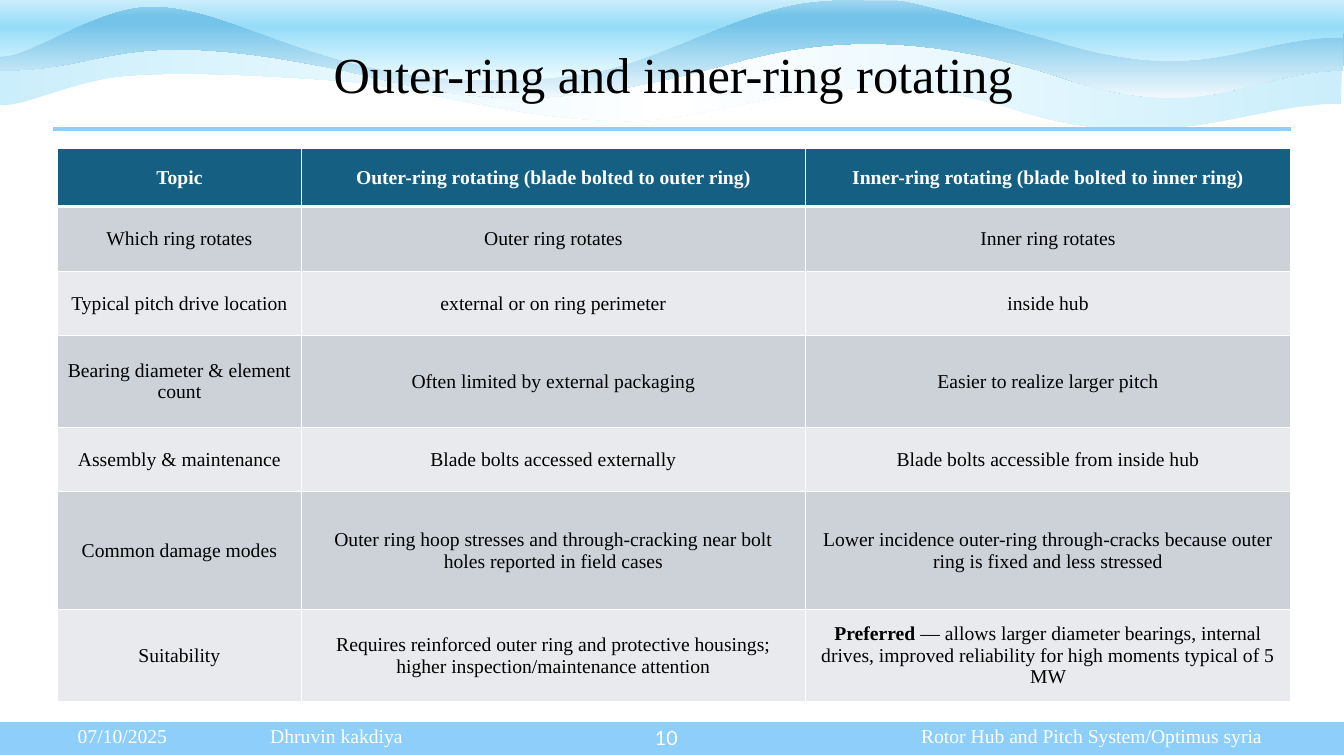
from pptx import Presentation
from pptx.dml.color import RGBColor
from pptx.enum.shapes import MSO_CONNECTOR as CONNECTOR, MSO_SHAPE as SHAPE
from pptx.enum.text import MSO_ANCHOR as ANCHOR, PP_ALIGN as ALIGN
from pptx.oxml import parse_xml
from pptx.oxml.ns import nsdecls, qn
from pptx.util import Inches, Pt
from lxml.etree import SubElement

COLORS = {"sky": "8ECEFA", "white": "FFFFFF", "black": "000000",
          "header": "156082", "band_dark": "CCD2D8", "band_light": "E8EAED"}
SERIF = "Times New Roman"

# Each wave: start point, Bezier curves along the lower edge, top corners,
# gradient stops (percent, colour) and gradient angle
WAVES = [
    ((13.3, 1.03),
     [(12.37, 1.02, 11.52, 1.59, 9.99, 1.06), (8.27, 0.54, 7.21, 1.24, 6.1, 1.2),
      (4.99, 1.16, 4.21, 0.87, 3.35, 0.8), (2.49, 0.74, 1.83, 0.71, 1.27, 0.75),
      (0.71, 0.79, 0.14, 1.11, -0.02, 1.03)],
     [(-0.04, 0.3), (13.32, 0.34)],
     [(0, "CAEEFB"), (50, "FFFFFF"), (100, "CAEEFB")], 0),
    ((13.32, 0.7),
     [(12.39, 0.7, 11.96, 1.28, 10.44, 0.74), (8.71, 0.2, 7.73, 0.5, 7.06, 0.68),
      (5.28, 1.14, 4.59, 0.98, 3.46, 0.71), (1.13, 0.22, 1.15, 0.7, 0, 0.7)],
     [(0.01, 0), (6.54, -0.01), (13.33, 0.04)],
     [(0, "A2D8F0"), (17, "74C4E9"), (26, "74C4E9"), (100, "F0F8FD")], 90),
    ((13.32, 0.37),
     [(12.39, 0.36, 11.96, 0.88, 10.44, 0.4), (8.72, -0.08, 8.91, -0.05, 8.13, 0.01),
      (7.35, 0.06, 6.53, 0.64, 5.76, 0.74), (4.98, 0.84, 4.24, 0.81, 3.47, 0.62),
      (2.58, 0.38, 2.07, 0.06, 1.5, 0.06), (0.92, 0.06, 0.22, 0.63, -0.03, 0.55)],
     [(0.01, -0.25), (6.54, -0.26), (13.33, -0.22)],
     [(0, "FFFFFF"), (50, "96DCF8"), (100, "EFFCFF")], 90),
]

COLUMN_WIDTHS = [2.42, 5, 4.81]
ROW_HEIGHTS = [0.58, 0.64, 0.64, 0.91, 0.64, 1.17, 0.91]
ROWS = [
    ["Topic", "Outer-ring rotating (blade bolted to outer ring)",
     "Inner-ring rotating (blade bolted to inner ring)"],
    ["Which ring rotates", "Outer ring rotates", "Inner ring rotates"],
    ["Typical pitch drive location", "external or on ring perimeter", "inside hub"],
    ["Bearing diameter & element count", "Often limited by external packaging",
     "Easier to realize larger pitch"],
    ["Assembly & maintenance", "Blade bolts accessed externally",
     "Blade bolts accessible from inside hub"],
    ["Common damage modes",
     "Outer ring hoop stresses and through-cracking near bolt holes reported in field cases",
     "Lower incidence outer-ring through-cracks because outer ring is fixed and less stressed"],
    ["Suitability",
     "Requires reinforced outer ring and protective housings; "
     "higher inspection/maintenance attention",
     "Preferred — allows larger diameter bearings, internal drives, "
     "improved reliability for high moments typical of 5 MW"],
]
BOLD_LEAD = "Preferred"


def rgb(name):
    return RGBColor.from_string(COLORS[name])


def style(para, size, color, align, font=SERIF):
    para.alignment = align
    para.font.size = Pt(size)
    para.font.name = font
    para.font.color.rgb = rgb(color)


def bezier_points(start, curves, steps=24):
    points = []
    x0, y0 = start
    for x1, y1, x2, y2, x3, y3 in curves:
        for step in range(1, steps + 1):
            t = step / steps
            a, b, c, d = (1 - t) ** 3, 3 * t * (1 - t) ** 2, 3 * t * t * (1 - t), t ** 3
            points.append((a * x0 + b * x1 + c * x2 + d * x3,
                           a * y0 + b * y1 + c * y2 + d * y3))
        x0, y0 = x3, y3
    return points


def add_wave(page, start, curves, corners, stops, angle):
    outline = [(Inches(x), Inches(y)) for x, y in bezier_points(start, curves) + corners]
    builder = page.shapes.build_freeform(Inches(start[0]), Inches(start[1]))
    builder.add_line_segments(outline, close=True)
    wave = builder.convert_to_shape()
    wave.shadow.inherit = False
    wave.line.fill.background()
    stop_xml = "".join(f'<a:gs pos="{pos * 1000}"><a:srgbClr val="{color}"/></a:gs>'
                       for pos, color in stops)
    gradient = parse_xml(f'<a:gradFill {nsdecls("a")}><a:gsLst>{stop_xml}</a:gsLst>'
                         f'<a:lin ang="{angle * 60000}" scaled="0"/></a:gradFill>')
    wave.element.spPr.find(qn("a:custGeom")).addnext(gradient)


def add_text(page, text, left, top, width, height, size, color, align, font=SERIF):
    box = page.shapes.add_textbox(Inches(left), Inches(top), Inches(width), Inches(height))
    box.text_frame.word_wrap = True
    box.text_frame.vertical_anchor = ANCHOR.MIDDLE
    para = box.text_frame.paragraphs[0]
    para.text = text
    style(para, size, color, align, font)


def add_footer(page, texts, tabs):
    bar = page.shapes.add_shape(SHAPE.RECTANGLE, Inches(-0.01), Inches(7.15),
                                Inches(13.35), Inches(0.35))
    bar.shadow.inherit = False
    bar.fill.solid()
    bar.fill.fore_color.rgb = rgb("sky")
    bar.line.color.rgb = rgb("white")
    bar.line.width = Pt(1.5)
    frame = bar.text_frame
    frame.vertical_anchor = ANCHOR.MIDDLE
    frame.margin_left = Inches(0.78)
    frame.margin_top, frame.margin_bottom = 0, Inches(0.05)
    para = frame.paragraphs[0]
    para.text = "\t".join(texts)
    tab_list = SubElement(para._p.get_or_add_pPr(), qn("a:tabLst"))
    for position, align in tabs:
        SubElement(tab_list, qn("a:tab"), pos=str(Inches(position)), algn=align)
    style(para, 14, "white", ALIGN.LEFT)


def add_rule(page, left, right, top):
    rule = page.shapes.add_connector(CONNECTOR.STRAIGHT, Inches(left), Inches(top),
                                     Inches(right), Inches(top))
    rule.line.color.rgb = rgb("sky")
    rule.line.width = Pt(3)
    SubElement(rule.element.spPr, qn("a:effectLst"))


def set_borders(cell, widths):
    for side, width in widths.items():
        cell._tc.get_or_add_tcPr().append(parse_xml(
            f'<a:ln{side} {nsdecls("a")} w="{Pt(width)}"><a:solidFill>'
            f'<a:srgbClr val="{COLORS["white"]}"/></a:solidFill></a:ln{side}>'))


def fill_cell(cell, text, row):
    # Thick white line between the header and the first row
    set_borders(cell, {"L": 1, "R": 1, "T": 3 if row == 1 else 1, "B": 3 if row == 0 else 1})
    fill = "header" if row == 0 else "band_dark" if row % 2 else "band_light"
    cell.fill.solid()
    cell.fill.fore_color.rgb = rgb(fill)
    cell.vertical_anchor = ANCHOR.MIDDLE
    para = cell.text_frame.paragraphs[0]
    if text.startswith(BOLD_LEAD):
        lead = para.add_run()
        lead.text = BOLD_LEAD
        lead.font.bold = True
        text = text.removeprefix(BOLD_LEAD)
    para.add_run().text = text
    style(para, 14, "white" if row == 0 else "black", ALIGN.CENTER)
    para.font.bold = row == 0


def add_comparison(page, left, top):
    table = page.shapes.add_table(len(ROWS), len(COLUMN_WIDTHS), Inches(left), Inches(top),
                                  Inches(sum(COLUMN_WIDTHS)), Inches(sum(ROW_HEIGHTS))).table
    for column, width in zip(table.columns, COLUMN_WIDTHS):
        column.width = Inches(width)
    for row, (texts, height) in enumerate(zip(ROWS, ROW_HEIGHTS)):
        table.rows[row].height = Inches(height)
        for column, text in enumerate(texts):
            fill_cell(table.cell(row, column), text, row)


def main():
    deck = Presentation()
    deck.slide_width, deck.slide_height = Inches(13.33), Inches(7.5)
    page = deck.slides.add_slide(deck.slide_layouts[6])

    # Wavy header
    for wave in WAVES:
        add_wave(page, *wave)

    # Footer with page number
    add_footer(page, ["07/10/2025", "Dhruvin kakdiya", "Rotor Hub and Pitch System/Optimus syria"],
               [(1.91, "l"), (11.75, "r")])
    add_text(page, "10", 6.34, 7.12, 0.48, 0.4, 14, "white", ALIGN.RIGHT, "Lato")

    # Title and comparison table
    add_rule(page, 0.53, 12.8, 1.28)
    add_text(page, "Outer-ring and inner-ring rotating", 0.93, 0, 11.5, 1.45,
             36, "black", ALIGN.CENTER)
    add_comparison(page, 0.57, 1.47)

    deck.save("out.pptx")


if __name__ == "__main__":
    main()
